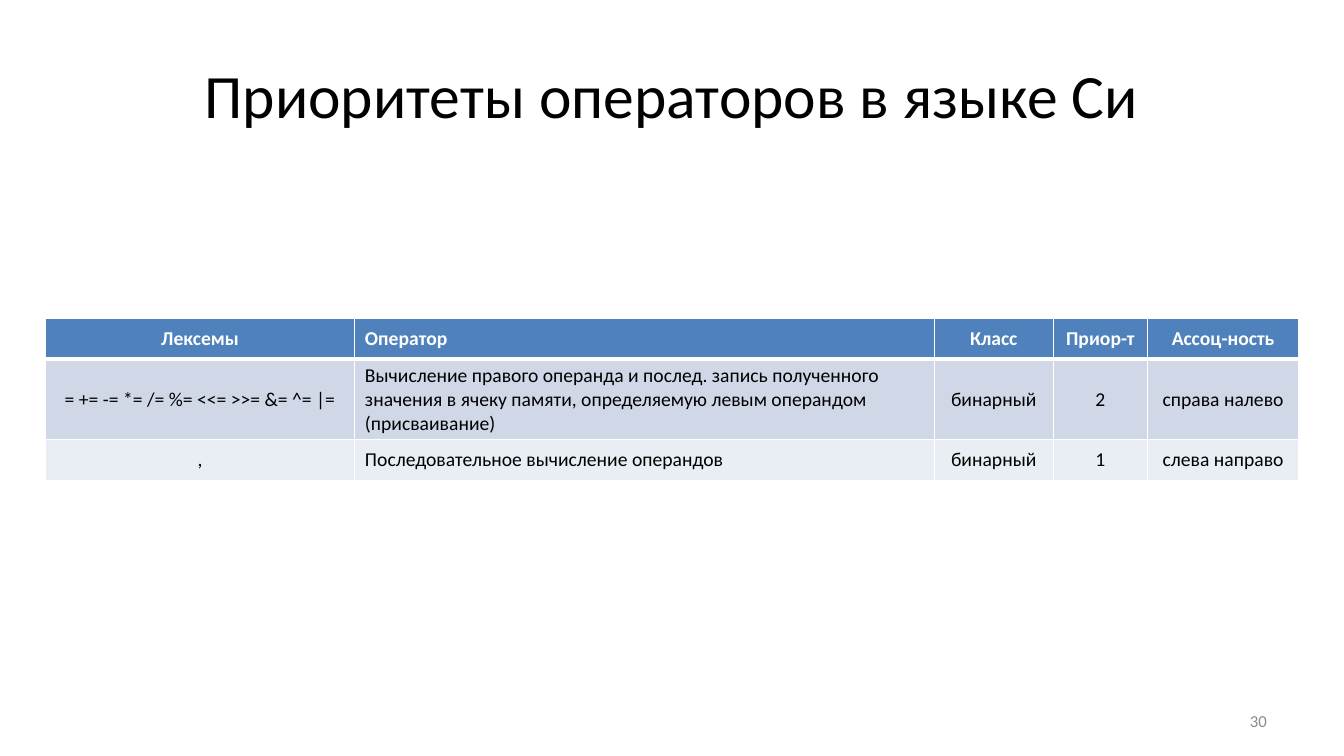
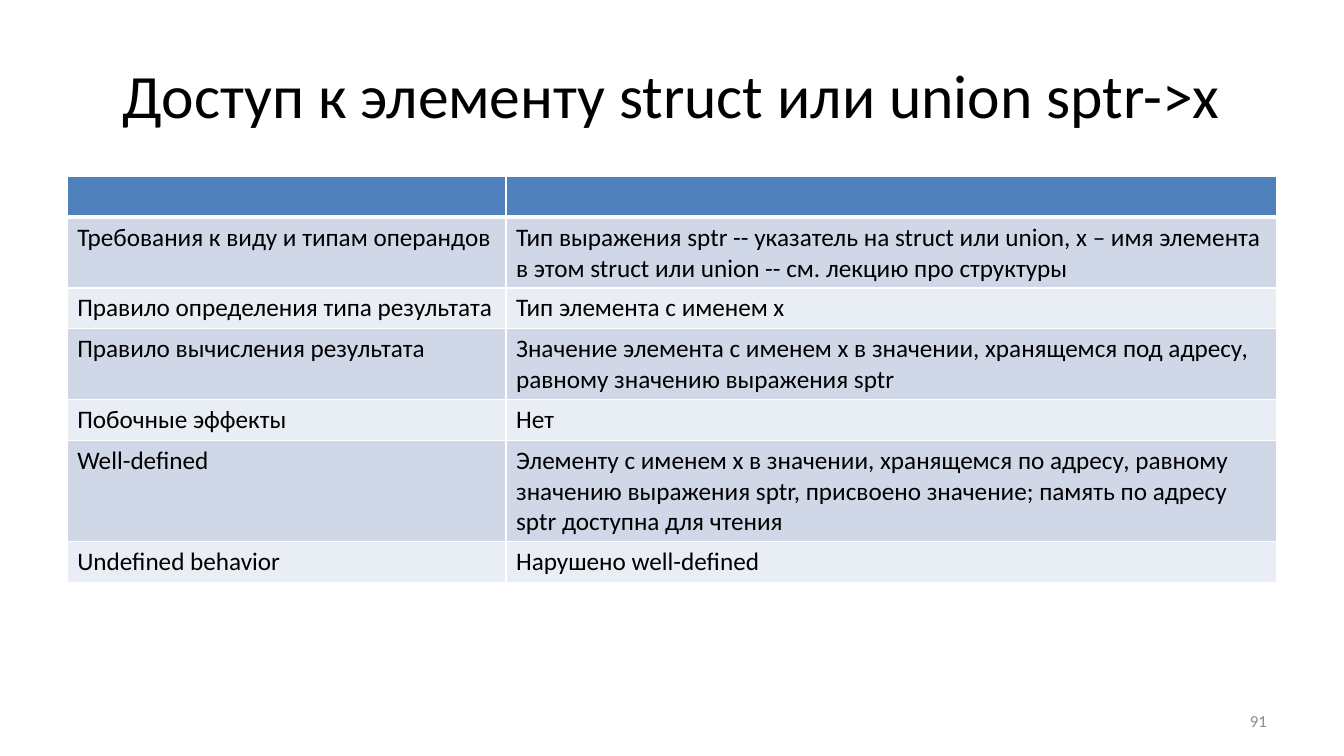
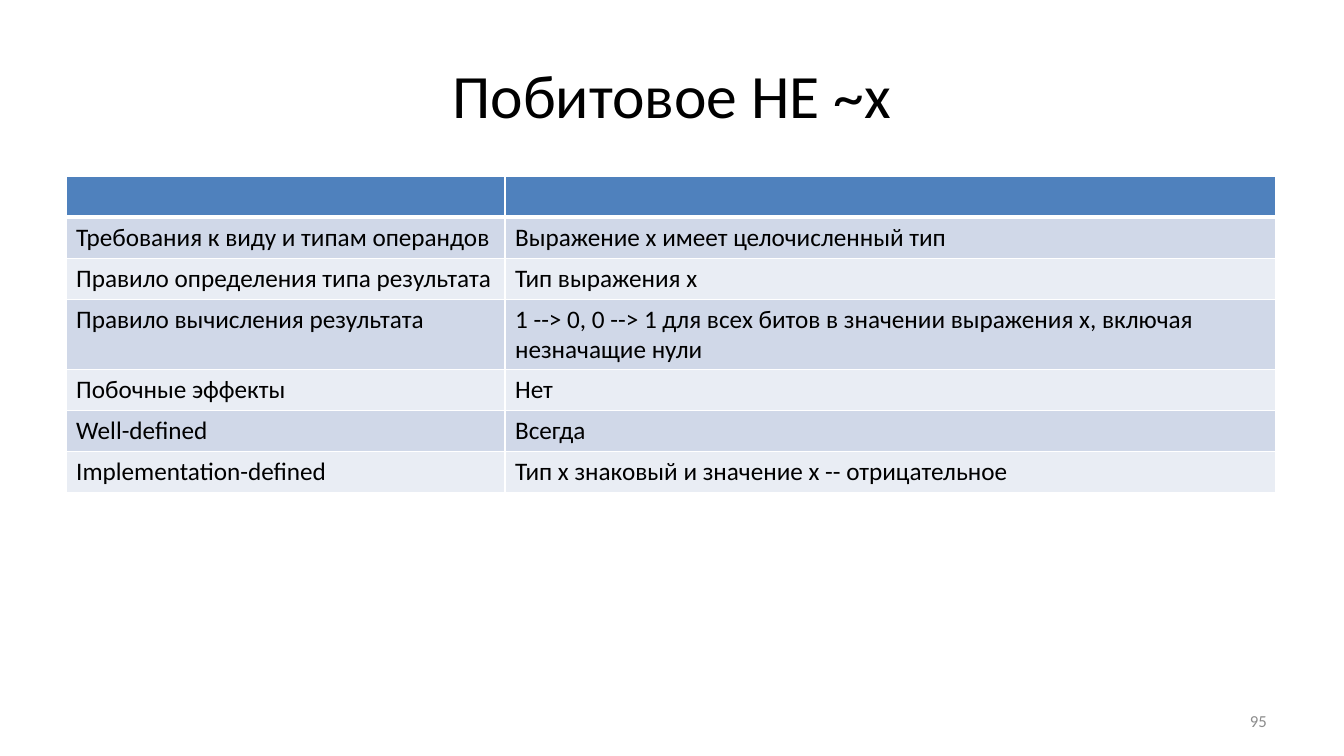
from lxml import etree
from pptx import Presentation
from pptx.dml.color import RGBColor
from pptx.enum.text import MSO_ANCHOR as Anchor, PP_ALIGN as Align
from pptx.oxml.ns import qn
from pptx.util import Pt

PX = 9525
FONT = "Calibri"
COLORS = {
    "text": "000000",
    "white": "FFFFFF",
    "header": "4F81BD",
    "odd_row": "D0D8E8",
    "even_row": "E9EDF4",
    "number": "8C8C8C",
}
ROW_HEIGHT = 39
TITLE_BOX = (64, 29, 1152, 120)
NUMBER_BOX = (918, 667, 298, 38)

OPERAND_RULES = [
    "Требования к виду и типам операндов",
    "Правило определения типа результата",
    "Правило вычисления результата",
    "Побочные эффекты",
    "Well-defined",
]
RULES_TABLE = {
    "top": 168,
    "columns": [418, 734],
    "aligns": [Align.LEFT, Align.LEFT],
    "size": 18,
    "anchor": Anchor.TOP,
}

SLIDES = [
    {
        "title": "Приоритеты операторов в языке Си",
        "number": "30",
        "left": 43,
        "top": 303,
        "columns": [295, 552, 113, 90, 144],
        "aligns": [Align.CENTER, Align.LEFT, Align.CENTER, Align.CENTER, Align.CENTER],
        "size": 14,
        "anchor": Anchor.MIDDLE,
        "rows": [
            ("Лексемы", "Оператор", "Класс", "Приор-т", "Ассоц-ность"),
            (
                "= += -= *= /= %= <<= >>= &= ^= |=",
                "Вычисление правого операнда и послед. запись полученного значения "
                "в ячеку памяти, определяемую левым операндом (присваивание)",
                "бинарный", "2", "справа налево",
            ),
            (",", "Последовательное вычисление операндов", "бинарный", "1", "слева направо"),
        ],
    },
    {
        **RULES_TABLE,
        "title": "Доступ к элементу struct или union sptr->x",
        "number": "91",
        "left": 64,
        "rows": [("", ""), *zip(OPERAND_RULES + ["Undefined behavior"], [
            "Тип выражения sptr -- указатель на struct или union, x – имя элемента "
            "в этом struct или union -- см. лекцию про структуры",
            "Тип элемента с именем x",
            "Значение элемента с именем х в значении, хранящемся под адресу, "
            "равному значению выражения sptr",
            "Нет",
            "Элементу с именем х в значении, хранящемся по адресу, равному значению "
            "выражения sptr, присвоено значение; память по адресу sptr доступна для чтения",
            "Нарушено well-defined",
        ])],
    },
    {
        **RULES_TABLE,
        "title": "Побитовое НЕ ~x",
        "number": "95",
        "left": 63,
        "rows": [("", ""), *zip(OPERAND_RULES + ["Implementation-defined"], [
            "Выражение х имеет целочисленный тип",
            "Тип выражения х",
            "1 --> 0, 0 --> 1 для всех битов в значении выражения х, включая незначащие нули",
            "Нет",
            "Всегда",
            "Тип x знаковый и значение x -- отрицательное",
        ])],
    },
]


def write_text(frame, text, size, color, align, anchor, bold=False):
    frame.word_wrap = True
    frame.vertical_anchor = anchor
    paragraph = frame.paragraphs[0]
    paragraph.alignment = align
    if text:
        run = paragraph.add_run()
        run.text = text
        run.font.name = FONT
        run.font.size = Pt(size)
        run.font.bold = bold
        run.font.color.rgb = RGBColor.from_string(COLORS[color])


def style_cell(cell, fill, top_width, bottom_width):
    properties = cell._tc.get_or_add_tcPr()
    for side, width in (("L", 1), ("R", 1), ("T", top_width), ("B", bottom_width)):
        line = etree.SubElement(properties, qn(f"a:ln{side}"), w=str(Pt(width)))
        solid = etree.SubElement(line, qn("a:solidFill"))
        etree.SubElement(solid, qn("a:srgbClr"), val=COLORS["white"])
    cell.fill.solid()
    cell.fill.fore_color.rgb = RGBColor.from_string(COLORS[fill])


presentation = Presentation()
presentation.slide_width = 1280 * PX
presentation.slide_height = 720 * PX

for content in SLIDES:
    slide = presentation.slides.add_slide(presentation.slide_layouts[6])

    for box, text, size, color, align in (
        (TITLE_BOX, content["title"], 44, "text", Align.CENTER),
        (NUMBER_BOX, content["number"], 12, "number", Align.RIGHT),
    ):
        shape = slide.shapes.add_textbox(*(length * PX for length in box))
        write_text(shape.text_frame, text, size, color, align, Anchor.MIDDLE)

    rows, columns = content["rows"], content["columns"]
    table = slide.shapes.add_table(
        len(rows), len(columns), content["left"] * PX, content["top"] * PX,
        sum(columns) * PX, len(rows) * ROW_HEIGHT * PX,
    ).table
    for column, width in zip(table.columns, columns):
        column.width = width * PX

    for row_index, texts in enumerate(rows):
        is_header = row_index == 0
        fill = "header" if is_header else "odd_row" if row_index % 2 else "even_row"
        for column_index, text in enumerate(texts):
            cell = table.cell(row_index, column_index)
            style_cell(cell, fill, 3 if row_index == 1 else 1, 3 if is_header else 1)
            cell.vertical_anchor = content["anchor"]
            write_text(
                cell.text_frame, text, content["size"], "white" if is_header else "text",
                content["aligns"][column_index], content["anchor"], is_header,
            )

presentation.save("out.pptx")
